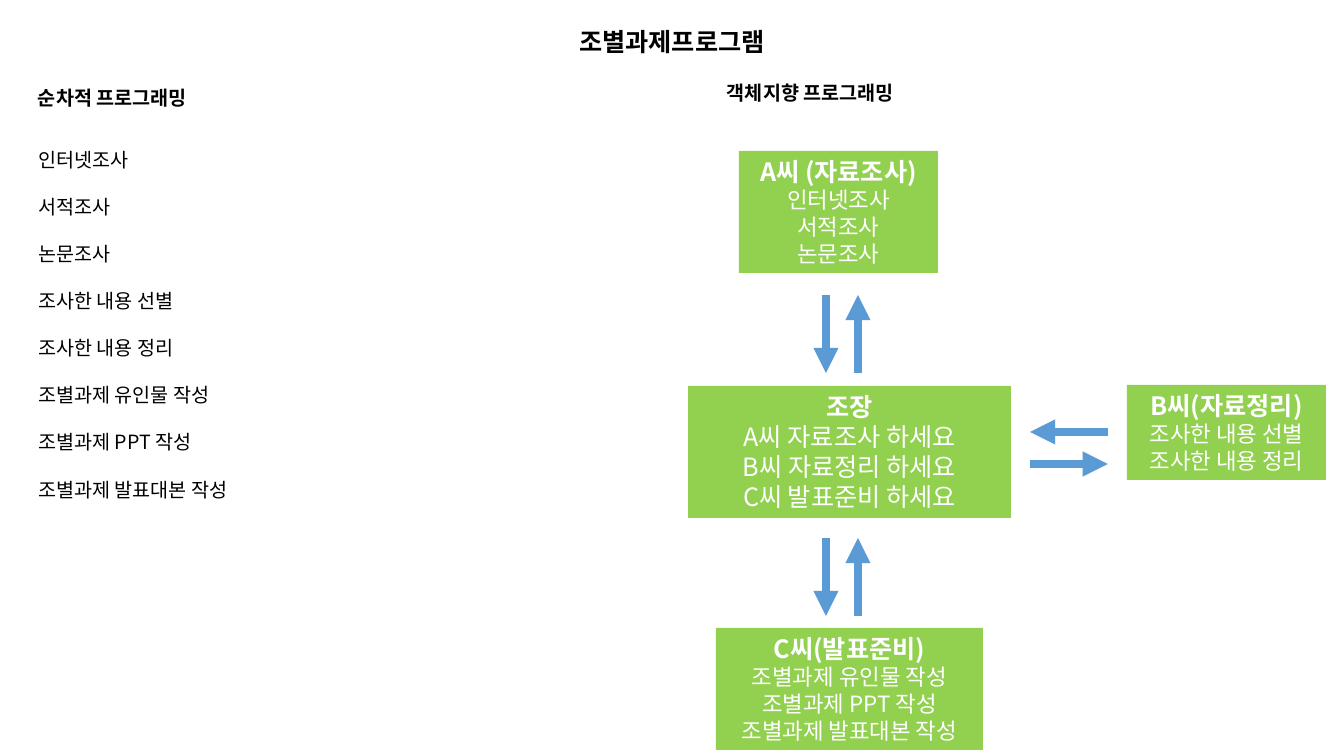
from lxml.etree import SubElement
from pptx import Presentation
from pptx.dml.color import RGBColor
from pptx.enum.shapes import MSO_CONNECTOR, MSO_SHAPE
from pptx.enum.text import MSO_ANCHOR, MSO_AUTO_SIZE, PP_ALIGN
from pptx.oxml.ns import qn
from pptx.util import Pt

PIXEL = 914400 / 100.8
FONT = "Noto Sans CJK KR"
LINE_HEIGHT = 1.2


def px(*lengths):
    return [round(length * PIXEL) for length in lengths]


def write(frame, lines, size=14, color="000000", bold=False, align=PP_ALIGN.LEFT,
          body_size=None, gap=0):
    frame.word_wrap = True
    frame.auto_size = MSO_AUTO_SIZE.NONE
    frame.vertical_anchor = MSO_ANCHOR.TOP
    frame.margin_left, frame.margin_right, frame.margin_top, frame.margin_bottom = px(10, 10, 5, 5)
    for index, line in enumerate(lines):
        para = frame.paragraphs[0] if index == 0 else frame.add_paragraph()
        points = body_size if index and body_size else size
        para.alignment = align
        para.line_spacing = Pt(points * LINE_HEIGHT)
        para.space_before = Pt(0)
        para.space_after = Pt(gap)
        span = para.add_run()
        span.text = line
        span.font.size = Pt(points)
        span.font.bold = bold and not (index and body_size)
        span.font.color.rgb = RGBColor.from_string(color)
        span.font.name = FONT
        SubElement(span.font._element, qn("a:ea"), typeface=FONT)


deck = Presentation()
deck.slide_width, deck.slide_height = px(1344, 756)
page = deck.slides.add_slide(deck.slide_layouts[5])

title = page.shapes.title
title.left, title.top, title.width, title.height = px(352, 21, 640, 41)
write(title.text_frame, ["조별과제프로그램"], size=18, bold=True, align=PP_ALIGN.CENTER)

headings = [
    ("순차적 프로그래밍", 28, 81),
    ("객체지향 프로그래밍", 717, 76),
]
for heading, left, top in headings:
    box = page.shapes.add_textbox(*px(left, top, 402, 34))
    write(box.text_frame, [heading], bold=True)

steps = ["인터넷조사", "서적조사", "논문조사", "조사한 내용 선별", "조사한 내용 정리",
         "조별과제 유인물 작성", "조별과제 PPT 작성", "조별과제 발표대본 작성"]
box = page.shapes.add_textbox(*px(28, 143, 308, 367))
write(box.text_frame, steps, gap=14 * LINE_HEIGHT)

members = [
    ((739, 151, 199, 122), 16, ["A씨 (자료조사)", *steps[:3]]),
    ((1127, 385, 199, 95), 16, ["B씨(자료정리)", *steps[3:5]]),
    ((716, 628, 267, 122), 16, ["C씨(발표준비)", *steps[5:]]),
    ((688, 386, 323, 132), 18, ["조장", "A씨 자료조사 하세요", "B씨 자료정리 하세요",
                                "C씨 발표준비 하세요"]),
]
for place, body_size, lines in members:
    card = page.shapes.add_shape(MSO_SHAPE.RECTANGLE, *px(*place))
    card.shadow.inherit = False
    card.fill.solid()
    card.fill.fore_color.rgb = RGBColor.from_string("92D050")
    card.line.fill.background()
    write(card.text_frame, lines, size=18, color="FFFFFF", bold=True,
          align=PP_ALIGN.CENTER, body_size=body_size)

arrows = []
for top in (295, 538):
    arrows += [(826, top, 826, top + 78), (858, top + 78, 858, top)]
arrows += [(1108, 432, 1030, 432), (1030, 464, 1108, 464)]
for ends in arrows:
    arrow = page.shapes.add_connector(MSO_CONNECTOR.STRAIGHT, *px(*ends))
    arrow.line.color.rgb = RGBColor.from_string("5B9BD5")
    arrow.line.width = Pt(6)
    SubElement(arrow.line._get_or_add_ln(), qn("a:tailEnd"), type="triangle")
    SubElement(arrow._element.spPr, qn("a:effectLst"))

deck.save("out.pptx")
